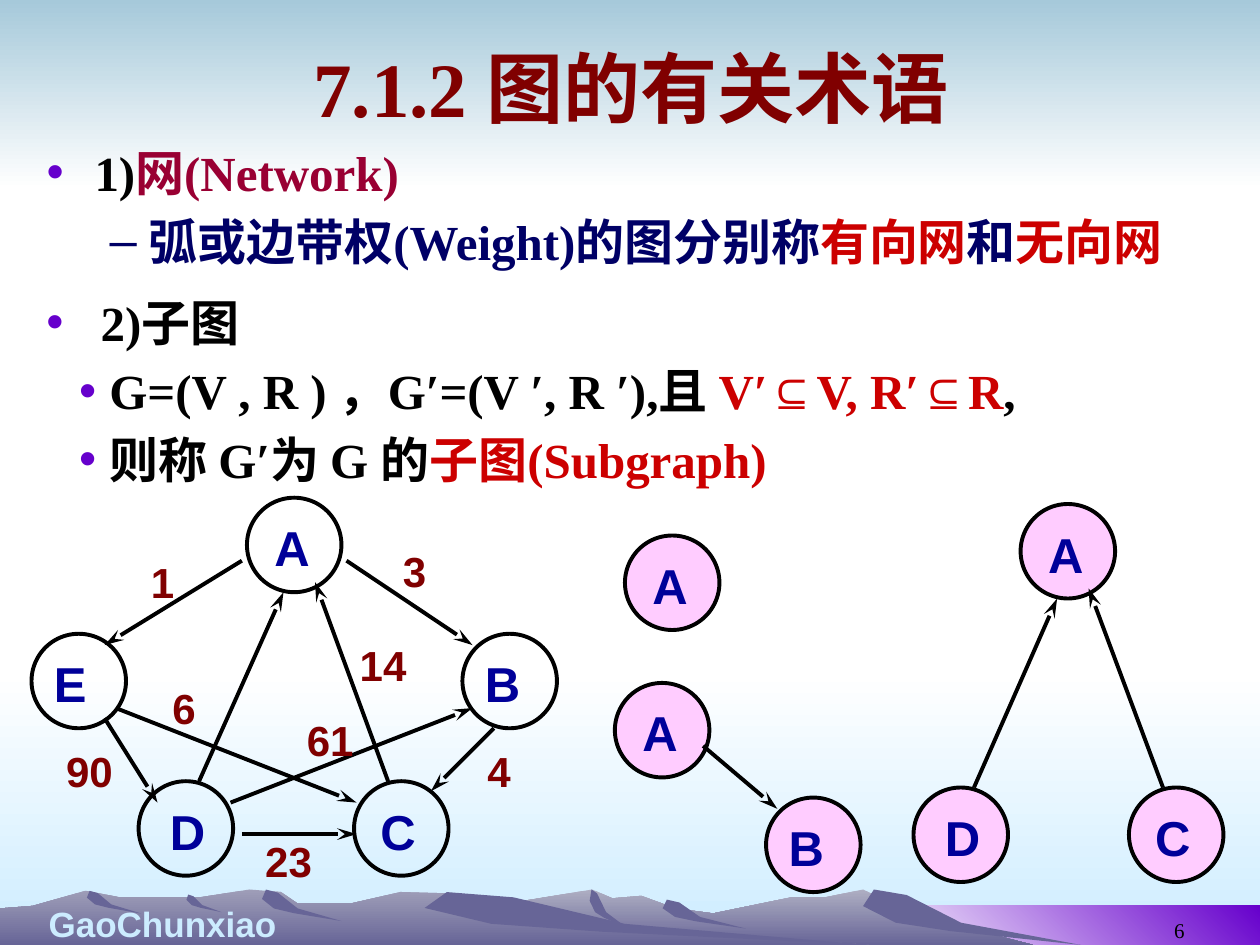
import collections

import lxml.etree
import pptx
import pptx.dml.color
import pptx.enum.shapes
import pptx.enum.text
import pptx.oxml.ns
import pptx.util

RGB = pptx.dml.color.RGBColor
Inches = pptx.util.Inches
Pt = pptx.util.Pt
qn = pptx.oxml.ns.qn
SHAPE = pptx.enum.shapes.MSO_SHAPE
ALIGN = pptx.enum.text.PP_ALIGN
ANCHOR = pptx.enum.text.MSO_ANCHOR
AUTO = pptx.enum.text.MSO_AUTO_SIZE

WHITE = RGB(0xFF, 0xFF, 0xFF)
BLACK = RGB(0x00, 0x00, 0x00)
SKY = RGB(0xA6, 0xC9, 0xDA)
ICE = RGB(0xCC, 0xEC, 0xFF)
PURPLE = RGB(0x66, 0x00, 0xCC)
SLATE = RGB(0x67, 0x65, 0x97)
FAR_HILL = RGB(0xAE, 0xAE, 0xC2)
NEAR_HILL = RGB(0x9F, 0x9E, 0xB8)
MAROON = RGB(0x80, 0x00, 0x00)
WINE = RGB(0x99, 0x00, 0x33)
NAVY = RGB(0x00, 0x00, 0x66)
RED = RGB(0xCC, 0x00, 0x00)
NODE_BLUE = RGB(0x00, 0x00, 0x99)
PINK = RGB(0xFF, 0xCC, 0xFF)

SERIF, SANS = "Times New Roman", "Arial"
WIDTH, HEIGHT = 10, 7.5
DOWN, UP_RIGHT = 270, 45  # gradient directions

# Skylines list only their peaks and dips; shadows are boxes (left, top, width, height).
Hill = collections.namedtuple("Hill", "color skyline shadows")
FAR = Hill(
    FAR_HILL,
    [(2.58, 7.5), (3.55, 7.25), (4.7, 7.06), (4.86, 7.13), (5.09, 7.11), (5.36, 7.21),
     (5.66, 7.25), (6.29, 7.12), (6.56, 7.12), (6.85, 7.06), (7.23, 7.25), (8.2, 7.5)],
    [(6.85, 7.06, 1.73, 0.44), (4.68, 7.06, 0.29, 0.3), (5.26, 7.14, 0.66, 0.23)])
NEAR = Hill(
    NEAR_HILL,
    [(0, 7.5), (0, 7.21), (0.26, 7.19), (0.68, 7.07), (0.94, 7.12), (1.6, 7.12), (1.98, 7.06),
     (2.23, 7.08), (2.36, 7.17), (2.79, 7.17), (3.18, 7.08), (3.54, 7.09), (4.32, 7.32),
     (6.9, 7.5)],
    [(3.37, 7.08, 3.53, 0.42), (2.08, 7.06, 0.63, 0.25), (1.48, 7.1, 0.28, 0.14),
     (0.69, 7.07, 0.43, 0.18)])
# One shadow outline, as fractions of its box
SHADOW = [(0.05, 0), (0.2, 0.1), (0.45, 0.6), (1, 1), (0.4, 0.75), (0.15, 0.6), (0, 0.3)]

# Nodes give the top left corner of each circle; an edge starts and ends at
# offsets from the corners of its two nodes; a weight is centred on weight_at.
NODE = 0.75
LABEL_DX = {"A": 0.12, "B": 0.08, "C": 0.11, "D": 0.15, "E": 0.08}
LABEL_DY = 0.11
Edge = collections.namedtuple("Edge", "tail head start end weight weight_at",
                              defaults=(None, None))
C_TO_A = Edge("C", "A", (0.27, 0), (0.54, 0.67), "14", (3.04, 5.28))
D_TO_A = Edge("D", "A", (0.48, 0), (0.29, 0.75))
NETWORK_NODES = {"A": (1.96, 3.95), "B": (3.67, 5.03), "C": (2.81, 6.2),
                 "D": (1.1, 6.2), "E": (0.25, 5.03)}
NETWORK_EDGES = [
    Edge("A", "E", (-0.04, 0.5), (0.58, 0.09), "1", (1.29, 4.62)),
    Edge("A", "B", (0.79, 0.5), (0.08, 0.09), "3", (3.29, 4.53)),
    Edge("B", "C", (0.25, 0.75), (0.61, 0.08), "4", (3.96, 6.12)),
    Edge("D", "C", (0.82, 0.42), (0.02, 0.42), "23", (2.29, 6.83)),
    Edge("E", "D", (0.58, 0.67), (0.15, 0.17), "90", (0.71, 6.12)),
    Edge("E", "C", (0.67, 0.59), (0.02, 0.17), "6", (1.46, 5.62)),
    Edge("D", "B", (0.73, 0.17), (0.08, 0.59), "61", (2.62, 5.87)),
    C_TO_A, D_TO_A]
SUBGRAPHS = [
    ({"A": (4.96, 4.25)}, []),
    ({"A": (4.88, 5.42), "B": (6.08, 6.33)}, [Edge("A", "B", (0.7, 0.5), (0.09, 0.09))]),
    ({"A": (8.1, 4), "C": (8.96, 6.25), "D": (7.25, 6.25)},
     [C_TO_A._replace(weight=None), D_TO_A])]

# Paragraph styles: level, left margin, hanging indent, bullet, bullet colour
Style = collections.namedtuple("Style", "level margin hang bullet color")
TOPIC = Style(0, 0.38, 0.38, "•", PURPLE)
DETAIL = Style(1, 0.81, 0.31, "–", NAVY)
WIDE_TOPIC = Style(0, 0.43, 0.43, "•", PURPLE)
POINT = Style(1, 0.5, 0.24, "•", PURPLE)

NETWORK_TEXT = [
    (TOPIC, [("1)", BLACK), ("网(Network)", WINE)]),
    (DETAIL, [("弧或边带权(Weight)的图分别称", NAVY), ("有向网", RED), ("和", NAVY),
              ("无向网", RED)])]
SUBGRAPH_TEXT = [
    (WIDE_TOPIC, [("2)子图", BLACK)]),
    (POINT, [("G=(V , R ) ，G′=(V ′, R ′),且 ", BLACK), ("V′⊆V, R′⊆R", RED), (",", BLACK)]),
    (POINT, [("则称 G′为 G 的", BLACK), ("子图(Subgraph)", RED)])]


def inches(*lengths):
    return [Inches(length) for length in lengths]


def shift(point, offset):
    return point[0] + offset[0], point[1] + offset[1]


class Deck:
    def __init__(self):
        self.prs = pptx.Presentation()
        self.prs.slide_width, self.prs.slide_height = inches(WIDTH, HEIGHT)
        self.slide = self.prs.slides.add_slide(self.prs.slide_layouts[1])
        self.shapes = self.slide.shapes

    def paint(self, sp, colors, angle=DOWN):
        """Fill without outline: one colour is solid, two make a gradient."""
        sp.shadow.inherit = False
        sp.line.fill.background()
        if len(colors) == 1:
            sp.fill.solid()
            sp.fill.fore_color.rgb = colors[0]
            return
        sp.fill.gradient()
        sp.fill.gradient_angle = angle
        for stop, color in zip(sp.fill.gradient_stops, colors):
            stop.color.rgb = color

    def band(self, box, colors, angle=DOWN):
        self.paint(self.shapes.add_shape(SHAPE.RECTANGLE, *inches(*box)), colors, angle)

    def outline(self, points, *colors):
        start, *rest = [inches(*point) for point in points]
        fb = self.shapes.build_freeform(*start)
        fb.add_line_segments(rest, close=True)
        self.paint(fb.convert_to_shape(), colors)

    def hill(self, hill):
        self.outline(hill.skyline, hill.color, SLATE)
        for x, y, w, h in hill.shadows:
            self.outline([(x + u * w, y + v * h) for u, v in SHADOW], SLATE)

    def runs(self, p, parts, size, font, bold=True):
        for text, color in parts:
            r = p.add_run()
            r.text = text
            r.font.size, r.font.name, r.font.bold = Pt(size), font, bold
            r.font.color.rgb = color

    def text(self, box, text, size, color, font=SANS, align=ALIGN.CENTER,
             bold=True, wrap=True, anchor=ANCHOR.TOP):
        tf = self.shapes.add_textbox(*inches(*box)).text_frame
        tf.word_wrap, tf.vertical_anchor = wrap, anchor
        p = tf.paragraphs[0]
        p.alignment = align
        self.runs(p, [(text, color)], size, font, bold)

    def place(self, sp, box):
        """Move a placeholder and bring it to the front."""
        sp.left, sp.top, sp.width, sp.height = inches(*box)
        sp.text_frame.auto_size = AUTO.NONE
        sp.element.getparent().append(sp.element)
        return sp.text_frame

    def title(self, box, text):
        tf = self.place(self.shapes.title, box)
        tf.vertical_anchor = ANCHOR.MIDDLE
        tf.paragraphs[0].alignment = ALIGN.CENTER
        self.runs(tf.paragraphs[0], [(text, MAROON)], 44, SERIF)

    def bullets(self, tf, items):
        tf.word_wrap, tf.vertical_anchor = True, ANCHOR.TOP
        for i, (style, parts) in enumerate(items):
            p = tf.add_paragraph() if i else tf.paragraphs[0]
            p.level, p.alignment = style.level, ALIGN.LEFT
            p.space_before = Pt(5.6 if i else 0)
            pPr = p._p.get_or_add_pPr()
            pPr.set("marL", str(Inches(style.margin)))
            pPr.set("indent", str(-Inches(style.hang)))
            clr = lxml.etree.SubElement(pPr, qn("a:buClr"))
            lxml.etree.SubElement(clr, qn("a:srgbClr"), val=str(style.color))
            lxml.etree.SubElement(pPr, qn("a:buFont"), typeface=SANS)
            lxml.etree.SubElement(pPr, qn("a:buChar"), char=style.bullet)
            self.runs(p, parts, 28, SERIF)

    def arrow(self, start, end):
        cxn = self.shapes.add_connector(pptx.enum.shapes.MSO_CONNECTOR.STRAIGHT,
                                        *inches(*start, *end))
        cxn.line.color.rgb, cxn.line.width = BLACK, Pt(2.25)
        spPr = cxn.element.spPr
        lxml.etree.SubElement(spPr.find(qn("a:ln")), qn("a:tailEnd"), type="stealth", len="lg")
        lxml.etree.SubElement(spPr, qn("a:effectLst"))

    def circle(self, corner, fill):
        sp = self.shapes.add_shape(SHAPE.OVAL, *inches(*corner, NODE, NODE))
        sp.shadow.inherit = False
        sp.line.color.rgb, sp.line.width = BLACK, Pt(2.25)
        if fill is None:
            sp.fill.background()
        else:
            sp.fill.solid()
            sp.fill.fore_color.rgb = fill

    def weight(self, text, center):
        w, h = 0.26 + 0.16 * len(text), 0.5
        self.text((*shift(center, (-w / 2, -h / 2)), w, h), text, 24, MAROON)

    def graph(self, nodes, edges, fill=None):
        for corner in nodes.values():
            self.circle(corner, fill)
        for edge in edges:
            self.arrow(shift(nodes[edge.tail], edge.start), shift(nodes[edge.head], edge.end))
            if edge.weight:
                self.weight(edge.weight, edge.weight_at)
        for name, corner in nodes.items():
            self.text((*shift(corner, (LABEL_DX[name], LABEL_DY)), 0.48, 0.57), name, 28,
                      NODE_BLUE, align=ALIGN.LEFT, wrap=False)


def main():
    deck = Deck()
    deck.band((0, 5.33, WIDTH, 2.17), (WHITE, ICE))
    deck.band((0, 0, WIDTH, 1.5), (SKY, WHITE))
    deck.band((6.83, 7.19, 3.17, 0.31), (WHITE, PURPLE), UP_RIGHT)
    for hill in (FAR, NEAR):
        deck.hill(hill)
    deck.text((0, 7.11, 2.58, 0.44), "GaoChunxiao", 20, ICE)
    deck.text((7.17, 7.03, 2.33, 0.5), "6", 12, BLACK, SERIF, ALIGN.RIGHT, bold=False,
              anchor=ANCHOR.BOTTOM)

    deck.title((0.51, 0.13, 9, 1.12), "7.1.2 图的有关术语")
    body = deck.place(deck.slide.placeholders[1], (0.27, 1.08, 9.48, 5.67))
    deck.bullets(body, NETWORK_TEXT)
    definition = deck.shapes.add_textbox(*inches(0.27, 2.27, 9.56, 1.69))
    deck.bullets(definition.text_frame, SUBGRAPH_TEXT)

    deck.graph(NETWORK_NODES, NETWORK_EDGES)
    for nodes, edges in SUBGRAPHS:
        deck.graph(nodes, edges, PINK)
    deck.prs.save("out.pptx")


if __name__ == "__main__":
    main()
